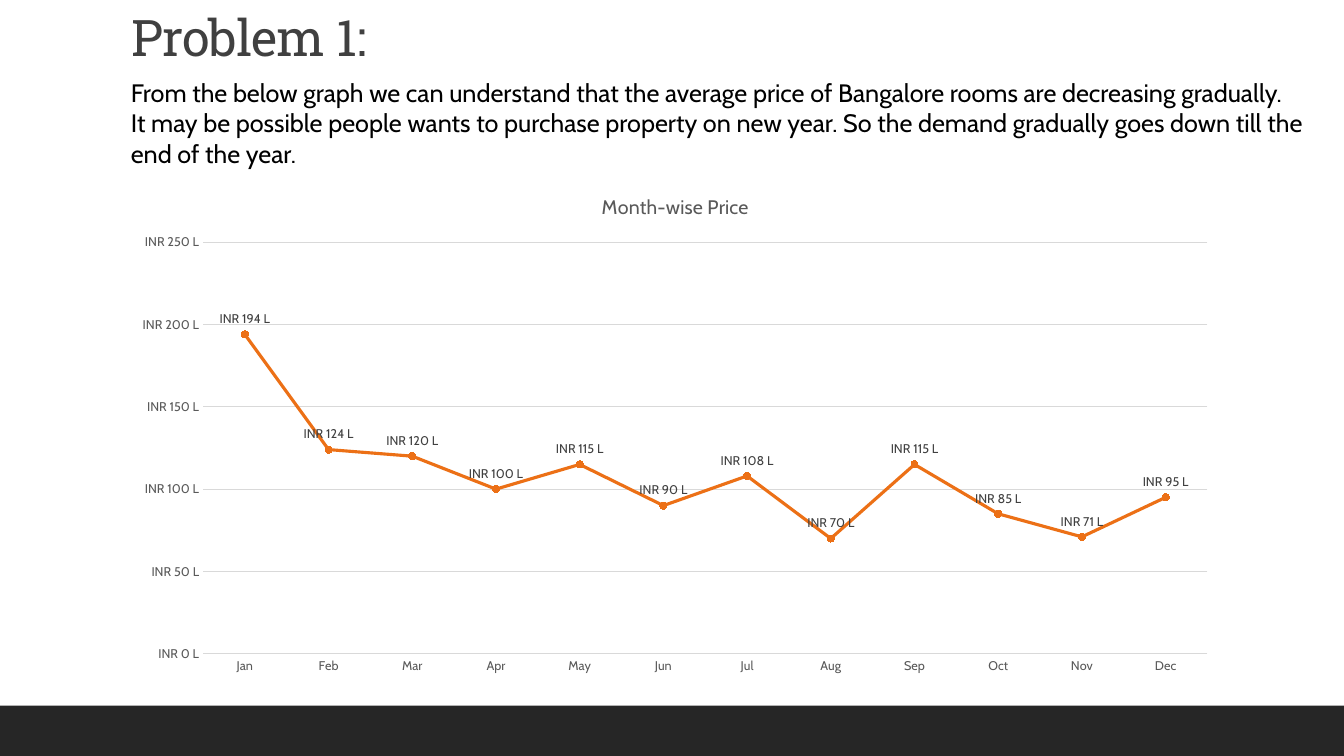
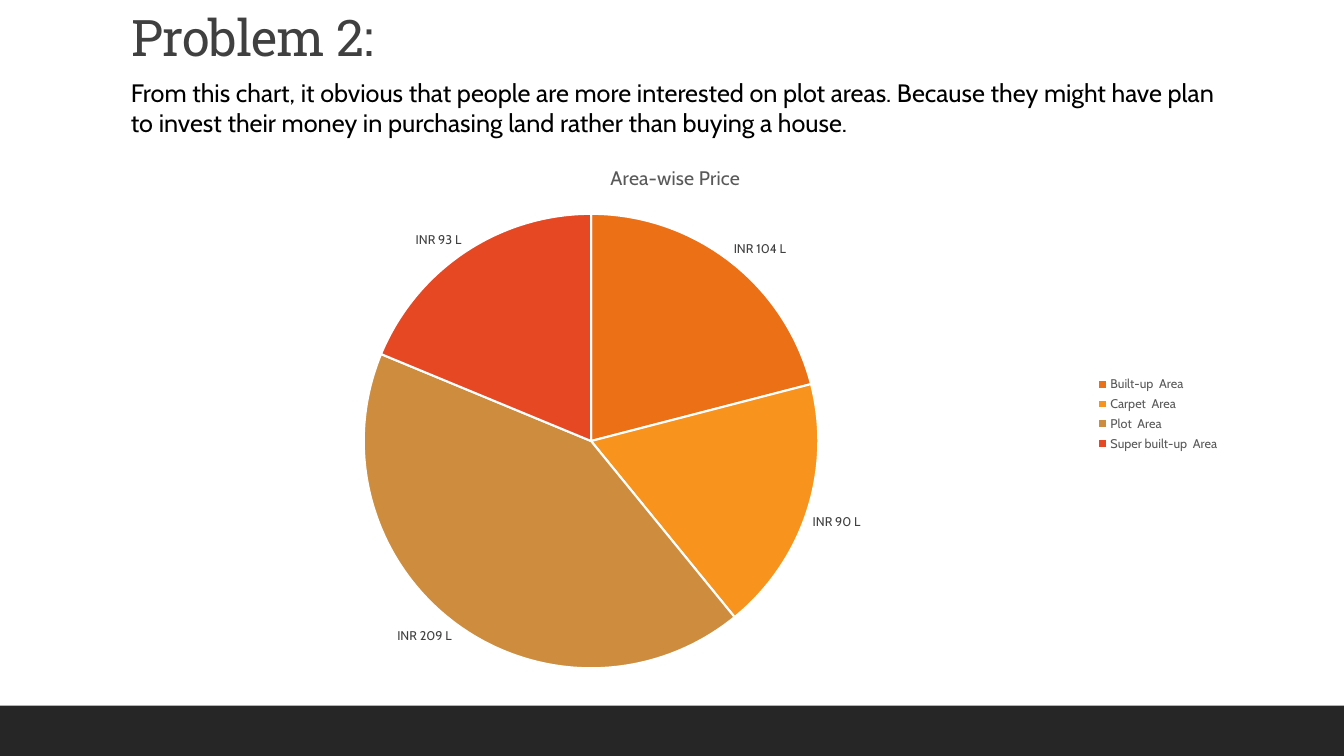
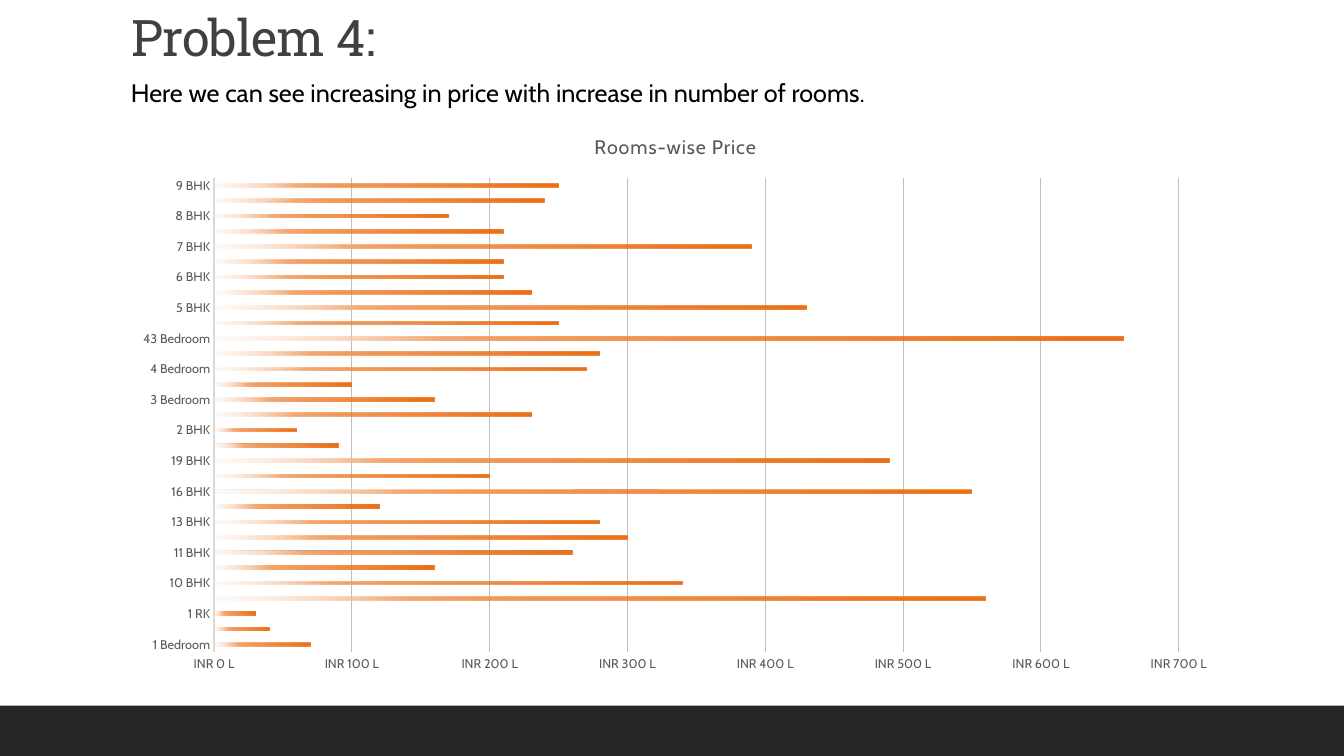
import pptx
import pptx.chart.data
import pptx.dml.color
import pptx.enum.chart
import pptx.enum.shapes
import pptx.enum.text
import pptx.oxml
import pptx.oxml.ns
import pptx.util
import lxml.etree

Pt = pptx.util.Pt
qn = pptx.oxml.ns.qn
rgb = pptx.dml.color.RGBColor.from_string
KIND = pptx.enum.chart.XL_CHART_TYPE
POS = pptx.enum.chart.XL_LABEL_POSITION


class Theme:
    heading, body = "Roboto Slab", "Cabin"
    band, title, text = "262626", "404040", "000000"
    muted, label, white = "595959", "404040", "FFFFFF"
    axis = "D9D9D9"
    accents = ["EC7016", "F8931D", "CE8D3E", "E64823"]
    gradient = [(0, "EC7016", 100), (51, "EC7016", 75),
                (75, "F4A973", 100), (100, "FBE2D0", 15)]
    title_pt, text_pt, chart_title_pt, chart_pt, small_pt = 36, 18, 14, 10, 9
    price = r"[$INR]\ #,##0\ \L"


def style(font, size, color, name=Theme.body):
    font.size, font.name, font.bold = Pt(size), name, False
    font.color.rgb = rgb(color)


def add_xml(parent, tag, **attrs):
    return lxml.etree.SubElement(parent, qn(tag), **attrs)


slides = [
    dict(
        title="Problem 1:",
        lines=[
            "From the below graph we can understand that the average price of Bangalore rooms are decreasing gradually.",
            "It may be possible people wants to purchase property on new year. So the demand gradually goes down till the",
            "end of the year.",
        ],
        text_size=(89.2, 13.5),
        kind=KIND.LINE_MARKERS_STACKED,
        chart_title="Month-wise Price",
        plot=(7.4, 13.3, 90.6, 80.9),
        cats="Jan Feb Mar Apr May Jun Jul Aug Sep Oct Nov Dec".split(),
        vals=[194, 124, 120, 100, 115, 90, 108, 70, 115, 85, 71, 95],
        labels=POS.ABOVE, scale=(250, 50), grid="D9D9D9", axis_pt=0.75, spc=0,
    ),
    dict(
        title="Problem 2:",
        lines=[
            "From this chart, it obvious that people are more interested on plot areas. Because they might have plan",
            "to invest their money in purchasing land rather than buying a house.",
        ],
        text_size=(84.2, 9.5),
        kind=KIND.PIE,
        chart_title="Area-wise Price",
        plot=(21.9, 12.8, 41, 84.5),
        cats=["Built-up  Area", "Carpet  Area", "Plot  Area", "Super built-up  Area"],
        vals=[104, 90, 209, 93],
        labels=POS.OUTSIDE_END, spc=0,
    ),
    dict(
        title="Problem 4:",
        lines=["Here we can see increasing in price with increase in number of rooms."],
        text_size=(58.9, 5.4),
        kind=KIND.BAR_CLUSTERED,
        chart_title="Rooms-wise Price",
        plot=(8.4, 11.3, 87, 83.2),
        cats=["1 Bedroom", "1 BHK", "1 RK", "10 Bedroom", "10 BHK", "11 Bedroom",
              "11 BHK", "12 Bedroom", "13 BHK", "14 BHK", "16 BHK", "18 Bedroom",
              "19 BHK", "2 Bedroom", "2 BHK", "27 BHK", "3 Bedroom", "3 BHK",
              "4 Bedroom", "4 BHK", "43 Bedroom", "5 Bedroom", "5 BHK", "6 Bedroom",
              "6 BHK", "7 Bedroom", "7 BHK", "8 Bedroom", "8 BHK", "9 Bedroom", "9 BHK"],
        vals=[70, 40, 30, 560, 340, 160, 260, 300, 280, 120, 550, 200, 490, 90, 60, 230,
              160, 100, 270, 280, 660, 250, 430, 230, 210, 210, 390, 210, 170, 240, 250],
        labels=None, scale=(700, 100), grid="BFBFBF", axis_pt=1.5, spc=50,
    ),
]

prs = pptx.Presentation()
prs.slide_width, prs.slide_height = pptx.util.Inches(13.33), pptx.util.Inches(7.5)
col, row = prs.slide_width / 100, prs.slide_height / 100
left, content_w = int(9 * col), int(82.5 * col)
text_top, chart_bottom, band_top = 9.6, 90.4, 93.33
layout = prs.slide_layouts[5]

for i, d in enumerate(slides):
    s = prs.slides.add_slide(layout)

    if i == 0:
        band = s.shapes.add_shape(
            pptx.enum.shapes.MSO_SHAPE.RECTANGLE, 0, int(band_top * row),
            prs.slide_width, int((100 - band_top) * row))
        band.shadow.inherit = False
        band.fill.solid()
        band.fill.fore_color.rgb = rgb(Theme.band)
        band.line.fill.background()
        layout.shapes.element.append(band.element)

    sp = s.shapes.title
    sp.left, sp.top, sp.width, sp.height = left, int(1.07 * row), content_w, int(8.53 * row)
    tf = sp.text_frame
    tf.text = d["title"]
    tf.auto_size = pptx.enum.text.MSO_AUTO_SIZE.NONE
    tf.vertical_anchor = pptx.enum.text.MSO_ANCHOR.MIDDLE
    p = tf.paragraphs[0]
    p.alignment = pptx.enum.text.PP_ALIGN.LEFT
    p.line_spacing = 0.9
    r = p.runs[0]
    style(r.font, Theme.title_pt, Theme.title, Theme.heading)
    r.font._element.set("spc", "-50")

    text_w, text_h = d["text_size"]
    tf = s.shapes.add_textbox(left, int(text_top * row), int(text_w * col),
                              int(text_h * row)).text_frame
    tf.word_wrap = True
    tf.text = "\n".join(d["lines"])
    for p in tf.paragraphs:
        style(p.runs[0].font, Theme.text_pt, Theme.text)

    data = pptx.chart.data.CategoryChartData(number_format=Theme.price)
    data.categories = d["cats"]
    data.add_series("Series 1", d["vals"])
    chart_top = text_top + text_h
    chart = s.shapes.add_chart(d["kind"], left, int(chart_top * row), content_w,
                               int((chart_bottom - chart_top) * row), data).chart
    style(chart.font, Theme.chart_pt, Theme.text)
    chart.has_title = True
    tf = chart.chart_title.text_frame
    tf.text = d["chart_title"]
    r = tf.paragraphs[0].runs[0]
    style(r.font, Theme.chart_title_pt, Theme.muted)
    r.font._element.set("spc", str(d["spc"]))
    chart.has_legend = d["kind"] == KIND.PIE

    area = next(chart.element.iter(qn("c:plotArea")))
    for old in area.findall(qn("c:layout")):
        area.remove(old)
    place = add_xml(area, "c:layout")
    area.insert(0, place)
    manual = add_xml(place, "c:manualLayout")
    add_xml(manual, "c:layoutTarget", val="inner")
    for tag in ("c:xMode", "c:yMode"):
        add_xml(manual, tag, val="edge")
    for tag, share in zip("xywh", d["plot"]):
        add_xml(manual, "c:" + tag, val=str(round(share / 100, 3)))

    plot = chart.plots[0]
    plot.vary_by_categories = d["kind"] == KIND.PIE
    ser = plot.series[0]
    if d["labels"] is not None:
        plot.has_data_labels = True
        labels = plot.data_labels
        labels.show_value = True
        labels.position = d["labels"]
        labels.number_format, labels.number_format_is_linked = Theme.price, False
        style(labels.font, Theme.small_pt, Theme.label)

    if d["kind"] == KIND.PIE:
        chart.legend.position = pptx.enum.chart.XL_LEGEND_POSITION.RIGHT
        chart.legend.include_in_layout = False
        style(chart.legend.font, Theme.small_pt, Theme.muted)
        for n, color in enumerate(Theme.accents):
            fmt = ser.points[n].format
            fmt.fill.solid()
            fmt.fill.fore_color.rgb = rgb(color)
            fmt.line.color.rgb = rgb(Theme.white)
            fmt.line.width = Pt(1.5)
        continue

    cat, val = chart.category_axis, chart.value_axis
    for axis in (cat, val):
        axis.major_tick_mark = axis.minor_tick_mark = pptx.enum.chart.XL_TICK_MARK.NONE
        style(axis.tick_labels.font, Theme.small_pt, Theme.muted)
    cat.format.line.color.rgb = rgb(Theme.axis)
    cat.format.line.width = Pt(d["axis_pt"])
    val.format.line.fill.background()
    val.minimum_scale = 0
    val.maximum_scale, val.major_unit = d["scale"]
    val.tick_labels.number_format = Theme.price
    val.tick_labels.number_format_is_linked = False
    val.has_major_gridlines = True
    val.major_gridlines.format.line.color.rgb = rgb(d["grid"])
    val.major_gridlines.format.line.width = Pt(0.75)

    if d["kind"] == KIND.BAR_CLUSTERED:
        plot.gap_width, plot.overlap = 326, -58
        ser.invert_if_negative = False
        ser.format.fill.gradient()
        stops = next(chart.element.iter(qn("a:gsLst")))
        for old in list(stops):
            stops.remove(old)
        for pos, color, alpha in Theme.gradient:
            stop = add_xml(stops, "a:gs", pos=str(pos * 1000))
            clr = add_xml(stop, "a:srgbClr", val=color)
            if alpha < 100:
                add_xml(clr, "a:alpha", val=str(alpha * 1000))
        ser.format.fill.gradient_angle = 180
    else:
        ser.smooth = False
        ser.format.line.color.rgb = rgb(Theme.accents[0])
        ser.format.line.width = Pt(2.25)
        ser.marker.style = pptx.enum.chart.XL_MARKER_STYLE.CIRCLE
        ser.marker.size = 5
        ser.marker.format.fill.solid()
        ser.marker.format.fill.fore_color.rgb = rgb(Theme.accents[0])
        ser.marker.format.line.color.rgb = rgb(Theme.accents[0])

prs.save("out.pptx")
